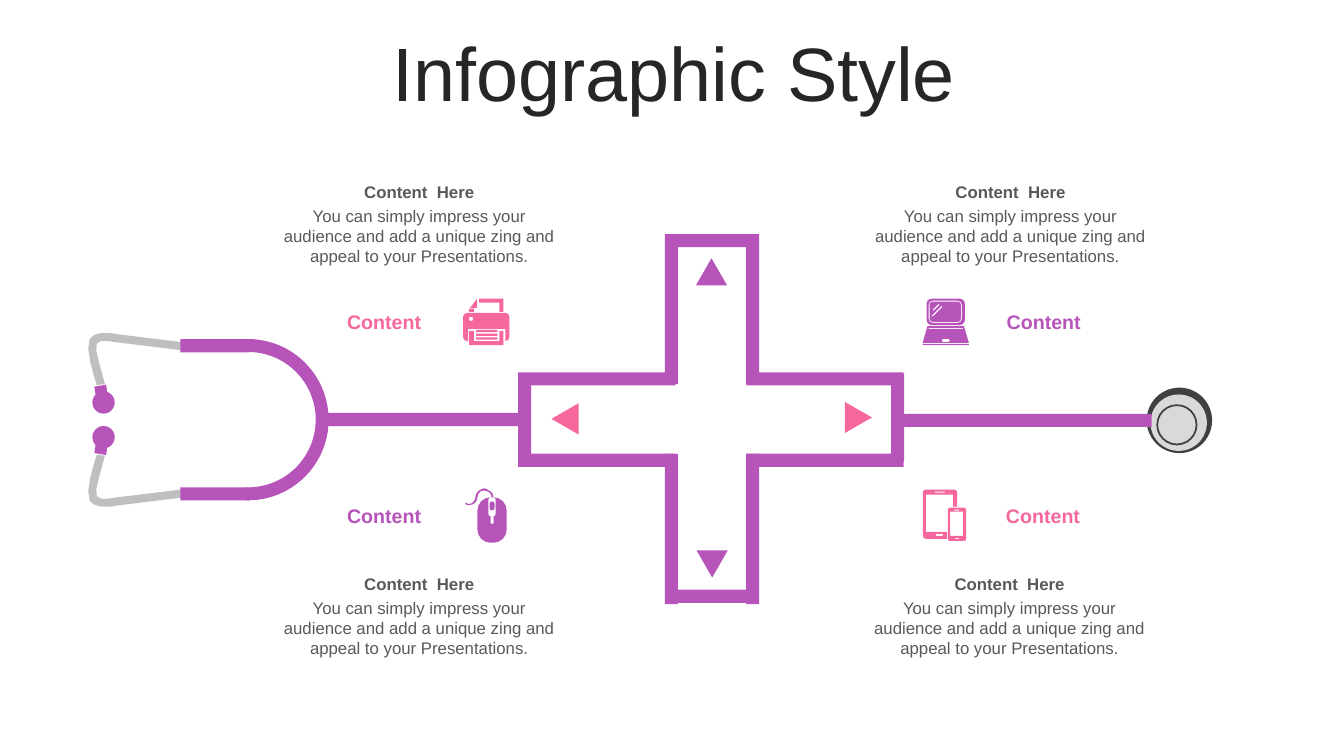
import math

import pptx
import pptx.dml.color
import pptx.enum.shapes
import pptx.enum.text
import pptx.util

PURPLE, PINK, GREY = "B754BA", "F5679D", "595959"
DARK, TUBE_GREY, LIGHT = "404040", "BFBFBF", "D9D9D9"
TUBE = 9.4  # thickness of the stethoscope tube
OUTLINE_UNIT = 0.72  # points per unit in the outlines
MIRROR_HEIGHT = 599.8  # an upper y and its mirrored lower y add up to this
DESCRIPTION = ("You can simply impress your audience and add a unique zing "
               "and appeal to your Presentations.")
Pt = pptx.util.Pt
SHAPES = pptx.enum.shapes.MSO_SHAPE


def paint(color_format, color):
    color_format.rgb = pptx.dml.color.RGBColor.from_string(color)


def finish(shape, fill, line=None):
    shape.shadow.inherit = False
    shape.fill.solid()
    paint(shape.fill.fore_color, fill)
    if line:
        paint(shape.line.color, line)
        shape.line.width = Pt(1.25)
    else:
        shape.line.fill.background()


def add_preset(slide, kind, left, top, width, height, fill, rotation=0, line=None):
    shape = slide.shapes.add_shape(kind, Pt(left), Pt(top), Pt(width), Pt(height))
    shape.rotation = rotation
    finish(shape, fill, line)
    return shape


def add_centered(slide, kind, center_x, center_y, width, height, fill, rotation=0):
    return add_preset(slide, kind, center_x - width / 2, center_y - height / 2,
                      width, height, fill, rotation)


def add_bar(slide, left, top, width=TUBE, height=TUBE):
    add_preset(slide, SHAPES.RECTANGLE, left, top, width, height, PURPLE)


def add_text(slide, text, left, top, width, height, size, color, bold=False):
    box = slide.shapes.add_textbox(Pt(left), Pt(top), Pt(width), Pt(height))
    box.text_frame.word_wrap = True
    paragraph = box.text_frame.paragraphs[0]
    paragraph.text = text
    paragraph.alignment = pptx.enum.text.PP_ALIGN.CENTER
    paragraph.font.name = "Arial"
    paragraph.font.size = Pt(size)
    paragraph.font.bold = bold
    paint(paragraph.font.color, color)
    return box


def trace(start, *segments):
    """Points of an outline: (x, y) is a line, three points are a curve."""
    points = [start]
    for segment in segments:
        if not isinstance(segment[0], tuple):
            points.append(segment)
            continue
        corners = (points[-1], *segment)
        steps = 4 if math.dist(corners[0], corners[3]) > 7 else 2
        for step in range(1, steps + 1):
            t = step / steps
            weights = ((1 - t) ** 3, 3 * t * (1 - t) ** 2, 3 * t * t * (1 - t), t ** 3)
            points.append(tuple(sum(weight * corner[axis] for weight, corner
                                    in zip(weights, corners)) for axis in (0, 1)))
    return points


def rounded(left, top, right, bottom, radius=0):
    if not radius:
        return [(left, top), (right, top), (right, bottom), (left, bottom)]
    k = radius * 0.45
    return trace(
        (left + radius, top), (right - radius, top),
        ((right - k, top), (right, top + k), (right, top + radius)),
        (right, bottom - radius),
        ((right, bottom - k), (right - k, bottom), (right - radius, bottom)),
        (left + radius, bottom),
        ((left + k, bottom), (left, bottom - k), (left, bottom - radius)),
        (left, top + radius),
        ((left, top + k), (left + k, top), (left + radius, top)))


def add_outline(slide, contours, left, top, fill):
    """Contours that lie inside others cut holes."""
    scaled = [[(Pt(x * OUTLINE_UNIT), Pt(y * OUTLINE_UNIT)) for x, y in contour]
              for contour in contours]
    builder = slide.shapes.build_freeform(*scaled[0][0])
    for number, contour in enumerate(scaled):
        if number:
            builder.move_to(*contour[0])
        builder.add_line_segments(contour[1:], close=True)
    finish(builder.convert_to_shape(Pt(left), Pt(top)), fill)


EAR_TUBE = trace(
    (26, 1), ((17, 0), (6, -1), (1, 6)), ((-4, 16), (5, 42), (8, 52)), (16, 51),
    ((13, 37), (5, 17), (8, 11)), ((12, 7), (15, 8), (25, 9)))
MOUSE_CORD = trace(
    (19, 0), ((17, 0), (16, 1), (14, 2)), ((12, 3), (10, 6), (10, 9)),
    ((10, 11), (8, 14), (6, 15)), ((4, 16), (2, 16), (0, 14)), (0, 16),
    ((2, 17), (5, 17), (7, 16)), ((10, 15), (12, 12), (12, 9)),
    ((12, 7), (13, 5), (15, 3)), ((17, 2), (20, 2), (22, 3)),
    ((25, 4), (26, 7), (26, 9)), (28, 9), ((28, 6), (26, 3), (23, 2)),
    ((22, 1), (20, 0), (19, 0)))
MOUSE = [MOUSE_CORD, rounded(12, 9, 41, 54, 13), rounded(23, 9, 30, 28, 2),
         rounded(25, 28, 28, 35), rounded(24, 13, 29, 22, 2.5)]
PRINTER = [
    rounded(0, 14, 46, 42, 4), rounded(5, 30, 42, 42), rounded(6, 18, 10, 22, 1.5),
    *[rounded(13, top, 34, top + 2.2) for top in (31, 34.7, 38.4)],
    [(40, 32), (36, 32), (36, 42), (11, 42), (11, 32), (6, 32), (6, 46), (40, 46)],
    rounded(6, 10, 11, 13), [(14, 0), (7, 9), (14, 9)],
    [(40, 0), (16, 0), (16, 4), (36, 4), (36, 13), (40, 13)]]
LAPTOP = [
    rounded(0, 45, 46, 46), [(5, 27), (41, 27), (46, 44), (0, 44)],
    rounded(19, 40, 27, 43, 1.5), [(6, 29), (6, 30), (41, 30), (40, 29)],
    rounded(4, 0, 42, 26, 5), rounded(6, 2, 39, 24, 4), rounded(7, 3, 38, 23, 3),
    [(19, 7), (9, 17), (10, 18), (20, 8)], [(16, 5), (10, 11), (11, 12), (17, 6)]]
TABLET_FRAME = trace(
    (3, 0), (31, 0), ((33, 0), (34, 1), (34, 3)), (34, 17), (30, 17), (30, 5), (3, 5),
    (3, 42), (24, 42), (24, 49), (3, 49), ((1, 49), (0, 47), (0, 45)), (0, 3),
    ((0, 1), (1, 0), (3, 0)))
TABLET = [TABLET_FRAME, rounded(13, 44, 20, 46), rounded(12, 2, 22, 3),
          rounded(25, 18, 43, 51, 2), rounded(27, 22, 40, 46),
          rounded(31, 20, 36, 21), rounded(32, 48, 36, 49)]


def add_stethoscope(slide):
    # Chest piece
    add_preset(slide, SHAPES.OVAL, 819, 276.9, 46.8, 46.8, DARK)
    add_preset(slide, SHAPES.OVAL, 821.8, 281.8, 40.3, 40.3, LIGHT)
    add_preset(slide, SHAPES.OVAL, 826.6, 289.4, 28.1, 28.1, LIGHT, line=DARK)
    # Ear pieces, the lower one mirrored
    for sign in (1, -1):
        def mirrored(y):
            return y if sign == 1 else MIRROR_HEIGHT - y
        add_centered(slide, SHAPES.OVAL, 74, mirrored(287.5), 16, 16, PURPLE)
        add_centered(slide, SHAPES.RECTANGLE, 72.2, mirrored(279.4), 7.9, 8.6,
                     PURPLE, sign * 80.7)
        add_centered(slide, SHAPES.RECTANGLE, 109.4, mirrored(244.8), 5.8, 59,
                     TUBE_GREY, sign * 97)
        add_outline(slide, [[(x, sign * y) for x, y in EAR_TUBE]],
                    63.4, mirrored(237.6), TUBE_GREY)
        add_bar(slide, 128.8, mirrored(247) - TUBE / 2, width=49)
    # Bend and cables
    bend = add_preset(slide, SHAPES.BLOCK_ARC, 119.5, 242.2, 115.2, 115.2, PURPLE, 90)
    for index, value in enumerate((107.89, 0.66, 0.08)):
        bend.adjustments[index] = value
    add_bar(slide, 226.4, 295, width=148.3)
    add_bar(slide, 645.5, 295.6, width=177.1)


def add_cross(slide):
    # Sides of the four arms
    for left in (474.9, 532.9):
        for top in (167.2, 324.2):
            add_bar(slide, left, top, height=107.3)
    for left in (370.2, 533.2):
        for top in (266, 324.1):
            add_bar(slide, left, top, width=112.3)
    # Ends of the arms
    add_bar(slide, 477.4, 167.2, width=55.4)
    add_bar(slide, 480.2, 421.2, width=55.4)
    add_bar(slide, 370.1, 274.3, height=55.4)
    add_bar(slide, 636.5, 267.1, height=62.6)
    # Direction arrows
    arrows = ((508.2, 194.2, PURPLE), (613.1, 298.2, PINK),
              (508.7, 402.8, PURPLE), (403.6, 299.2, PINK))
    for quarter, (x, y, color) in enumerate(arrows):
        add_centered(slide, SHAPES.ISOSCELES_TRIANGLE, x, y, 22.3, 19.4, color,
                     quarter * 90)


def add_topic(slide, text_left, text_top, label_left, label_top, icon, icon_left,
              icon_top, color):
    add_text(slide, DESCRIPTION, text_left, text_top + 17.3, 208.8, 51.1, 12, GREY)
    add_text(slide, "Content  Here", text_left, text_top, 208.8, 21.6, 12, GREY, True)
    add_text(slide, "Content", label_left, label_top, 78.5, 24.5, 14, color, True)
    add_outline(slide, icon, icon_left, icon_top, color)


def main():
    presentation = pptx.Presentation()
    presentation.slide_width, presentation.slide_height = Pt(960), Pt(540)
    slide = presentation.slides.add_slide(presentation.slide_layouts[6])

    title = add_text(slide, "Infographic Style", 25.6, 26.6, 911.5, 56.9, 54, "262626")
    title.text_frame.vertical_anchor = pptx.enum.text.MSO_ANCHOR.MIDDLE
    title.text_frame.paragraphs[0].line_spacing = 0.9

    add_stethoscope(slide)
    add_cross(slide)
    add_topic(slide, 195.1, 126.2, 235.2, 217.7, PRINTER, 330.8, 213.4, PINK)
    add_topic(slide, 617.4, 126.2, 706.3, 217.7, LAPTOP, 659, 213.4, PURPLE)
    add_topic(slide, 195.1, 406.1, 235.2, 356.4, MOUSE, 332.4, 348.8, PURPLE)
    add_topic(slide, 616.8, 406.1, 705.8, 356.4, TABLET, 659.2, 349.7, PINK)
    presentation.save("out.pptx")


if __name__ == "__main__":
    main()
